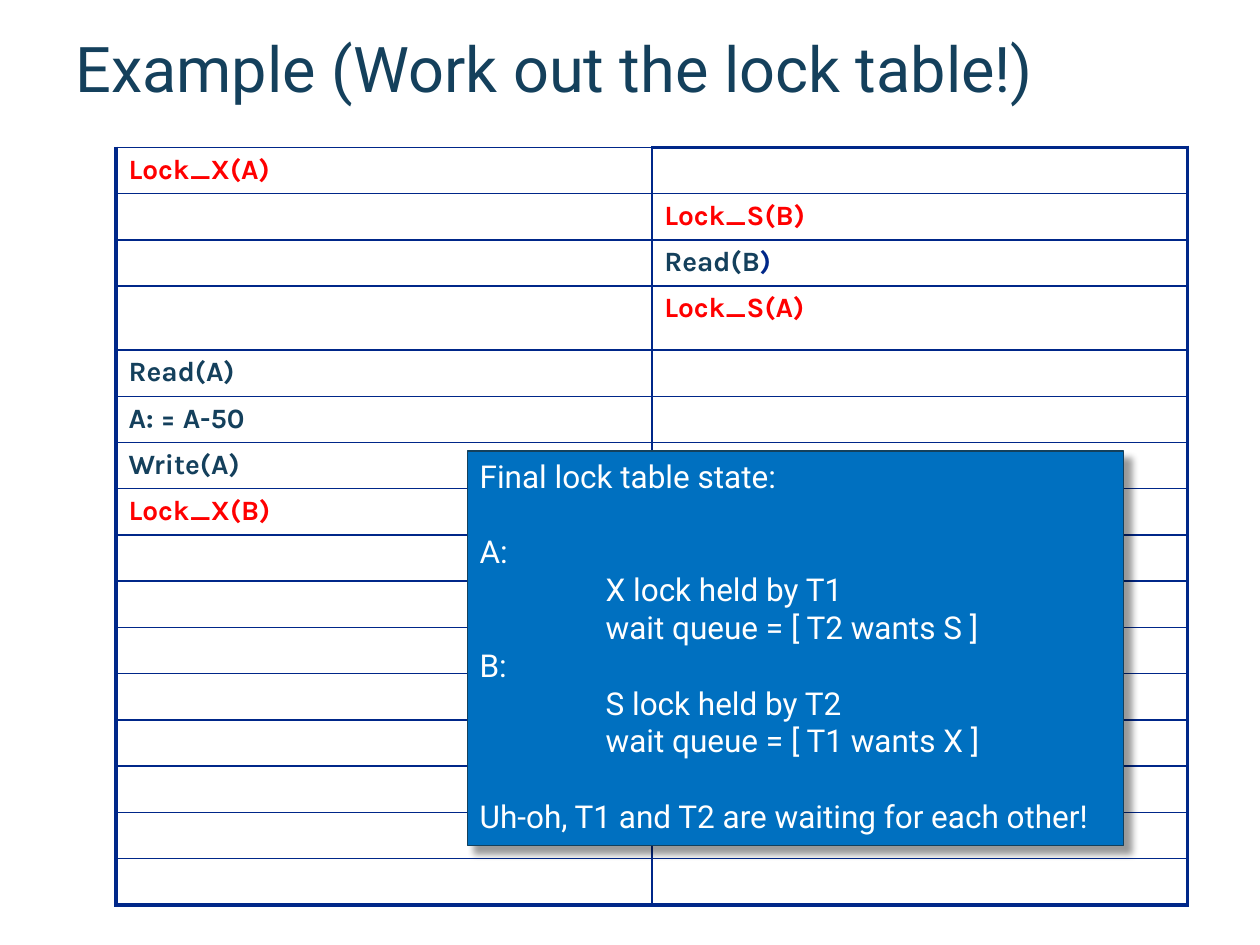
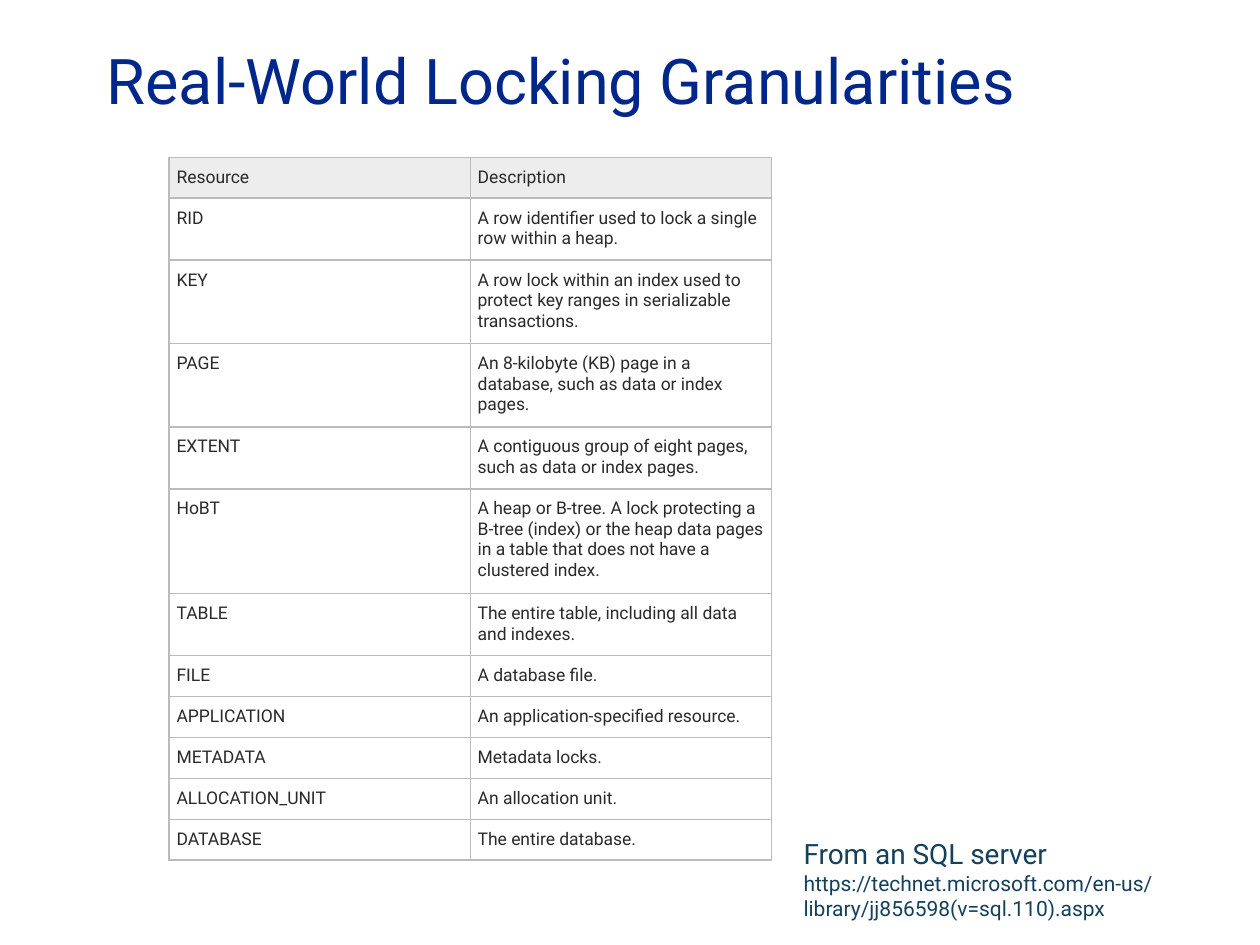
from lxml import etree
from pptx import Presentation
from pptx.dml.color import RGBColor
from pptx.enum.shapes import MSO_SHAPE
from pptx.enum.text import MSO_ANCHOR, PP_ALIGN
from pptx.oxml.ns import qn
from pptx.util import Cm, Pt

RECTANGLE = MSO_SHAPE.RECTANGLE
TOP, MIDDLE = MSO_ANCHOR.TOP, MSO_ANCHOR.MIDDLE
LEFT = PP_ALIGN.LEFT

# Shared colours and text formats
rgb = RGBColor.from_string
TEAL, NAVY, RED, WHITE = "14405C", "002789", "FF0000", "FFFFFF"
BLUE, GREY, HEADER_FILL, INK = "0070C0", "BBBBBB", "EDEDED", "2A2A2A"
TITLE = {"name": "Roboto", "size": Pt(36)}
STEP = {"name": "Karla", "size": Pt(16), "bold": True}
STATE = {"name": "Roboto", "size": Pt(18)}
ENTRY = {"name": "Roboto", "size": Pt(10)}
SOURCE = {"name": "Roboto", "size": Pt(16)}
ADDRESS = {"name": "Roboto", "size": Pt(12)}


def write(paragraph, text, text_format, color):
    paragraph.alignment = LEFT
    run = paragraph.add_run()
    run.text = text
    for attribute, value in text_format.items():
        setattr(run.font, attribute, value)
    run.font.color.rgb = rgb(color)


def style_cell(cell, fill, border_color, edges):
    properties = cell._tc.get_or_add_tcPr()
    for side, width in edges.items():
        border = etree.SubElement(properties, qn(f"a:ln{side}"), w=str(Pt(width)))
        solid = etree.SubElement(border, qn("a:solidFill"))
        etree.SubElement(solid, qn("a:srgbClr"), val=border_color)
    cell.fill.solid()
    cell.fill.fore_color.rgb = rgb(fill)


presentation = Presentation()
presentation.slide_width, presentation.slide_height = Cm(25.4), Cm(19.05)
blank = presentation.slide_layouts[6]

# Titles
titles = [
    ("Example (Work out the lock table!)", TEAL, (1.27, 0.64, 22.86, 1.45)),
    ("Real-World Locking Granularities", NAVY, (1.9, 0, 21.6, 3.18)),
]
for title, color, place in titles:
    slide = presentation.slides.add_slide(blank)
    frame = slide.shapes.add_textbox(*map(Cm, place)).text_frame
    frame.word_wrap = True
    frame.vertical_anchor = MIDDLE
    write(frame.paragraphs[0], title, TITLE, color)
example, granularities = presentation.slides

# Schedule: row -> (transaction column, coloured parts)
steps = {
    0: (0, [("Lock_X(A)", RED)]),
    1: (1, [("Lock_S(B)", RED)]),
    2: (1, [("Read(B", TEAL), (")", NAVY)]),
    3: (1, [("Lock_S(A)", RED)]),
    4: (0, [("Read(A)", TEAL)]),
    5: (0, [("A: = A-50", TEAL)]),
    6: (0, [("Write(A)", TEAL)]),
    7: (0, [("Lock_X(B)", RED)]),
}
ROWS, TALL_ROW = 16, 3
THICK, THIN = 2.25, 1
schedule = example.shapes.add_table(
    ROWS, 2, Cm(2.34), Cm(2.97), Cm(21.6), Cm(15.24)).table
schedule.first_row = schedule.horz_banding = False
for row in range(ROWS):
    schedule.rows[row].height = Cm(1.29 if row == TALL_ROW else 0.93)
    step_column, parts = steps.get(row, (None, []))
    for column in range(2):
        cell = schedule.cell(row, column)
        style_cell(cell, WHITE, NAVY, {
            "L": THICK if column == 0 else THIN,
            "R": THICK if column == 1 else THIN,
            "T": THICK if (row, column) == (0, 1) else THIN,
            "B": THICK if row == ROWS - 1 else THIN,
        })
        paragraph = cell.text_frame.paragraphs[0]
        if column == step_column:
            for text, color in parts:
                write(paragraph, text, STEP, color)
        else:
            etree.SubElement(paragraph._p, qn("a:endParaRPr"), sz="1600")

# Final lock table state: text, indent, space before
state_lines = [
    ("Final lock table state:", 0, 0),
    ("A:", 0, 21.5),
    ("X lock held by T1", 2.54, 0),
    ("wait queue = [ T2 wants S ]", 2.54, 0),
    ("B:", 0, 0),
    ("S lock held by T2", 2.54, 0),
    ("wait queue = [ T1 wants X ]", 2.54, 0),
    ("Uh-oh, T1 and T2 are waiting for each other!", 0, 21.5),
]
state_box = example.shapes.add_shape(
    RECTANGLE, Cm(9.42), Cm(9.09), Cm(13.23), Cm(7.95))
state_box.fill.solid()
state_box.fill.fore_color.rgb = rgb(BLUE)
state_box.line.color.rgb = rgb(TEAL)
state_box.line.width = Pt(0.75)
state_box.shadow.inherit = False
effects = state_box._element.spPr.find(qn("a:effectLst"))
shadow = etree.SubElement(
    effects, qn("a:outerShdw"), blurRad=str(Pt(4)), dist=str(Pt(6)),
    dir="2700000", algn="tl", rotWithShape="0")
shade = etree.SubElement(shadow, qn("a:srgbClr"), val="000000")
etree.SubElement(shade, qn("a:alpha"), val="40000")
frame = state_box.text_frame
frame.word_wrap = True
frame.vertical_anchor = TOP
for number, (text, indent, gap) in enumerate(state_lines):
    paragraph = frame.add_paragraph() if number else frame.paragraphs[0]
    if indent:
        paragraph._p.get_or_add_pPr().set("marL", str(Cm(indent)))
    if gap:
        paragraph.space_before = Pt(gap)
    write(paragraph, text, STATE, WHITE)

# Lock granularities: resource, description, lines of text
resources = [
    ("Resource", "Description", 1),
    ("RID", "A row identifier used to lock a single row within a heap.", 2),
    ("KEY", "A row lock within an index used to protect key ranges in "
            "serializable transactions.", 3),
    ("PAGE", "An 8-kilobyte (KB) page in a database, such as data or index "
             "pages.", 3),
    ("EXTENT", "A contiguous group of eight pages, such as data or index "
               "pages.", 2),
    ("HoBT", "A heap or B-tree. A lock protecting a B-tree (index) or the "
             "heap data pages in a table that does not have a clustered "
             "index.", 4),
    ("TABLE", "The entire table, including all data and indexes.", 2),
    ("FILE", "A database file.", 1),
    ("APPLICATION", "An application-specified resource.", 1),
    ("METADATA", "Metadata locks.", 1),
    ("ALLOCATION_UNIT", "An allocation unit.", 1),
    ("DATABASE", "The entire database.", 1),
]
cell_format = {
    "margin_left": Cm(0.15), "margin_right": Cm(0.15),
    "margin_top": Cm(0.2), "margin_bottom": Cm(0.2),
}
locks = granularities.shapes.add_table(
    len(resources), 2, Cm(3.41), Cm(3.17), Cm(12.14), Cm(14.14)).table
locks.first_row = locks.horz_banding = False
for row, (resource, description, line_count) in enumerate(resources):
    locks.rows[row].height = Cm(0.82 + 0.43 * (line_count - 1))
    for column, text in enumerate((resource, description)):
        cell = locks.cell(row, column)
        for attribute, value in cell_format.items():
            setattr(cell, attribute, value)
        cell.vertical_anchor = TOP if row else MIDDLE
        style_cell(cell, WHITE if row else HEADER_FILL, GREY,
                   dict.fromkeys("LRTB", THIN))
        write(cell.text_frame.paragraphs[0], text, ENTRY, INK)

# Source of the table
frame = granularities.shapes.add_textbox(
    Cm(15.95), Cm(16.74), Cm(8.43), Cm(1.96)).text_frame
frame.word_wrap = True
write(frame.paragraphs[0], "From an SQL server", SOURCE, TEAL)
write(frame.add_paragraph(),
      "https://technet.microsoft.com/en-us/library/jj856598(v=sql.110).aspx",
      ADDRESS, TEAL)

presentation.save("out.pptx")
